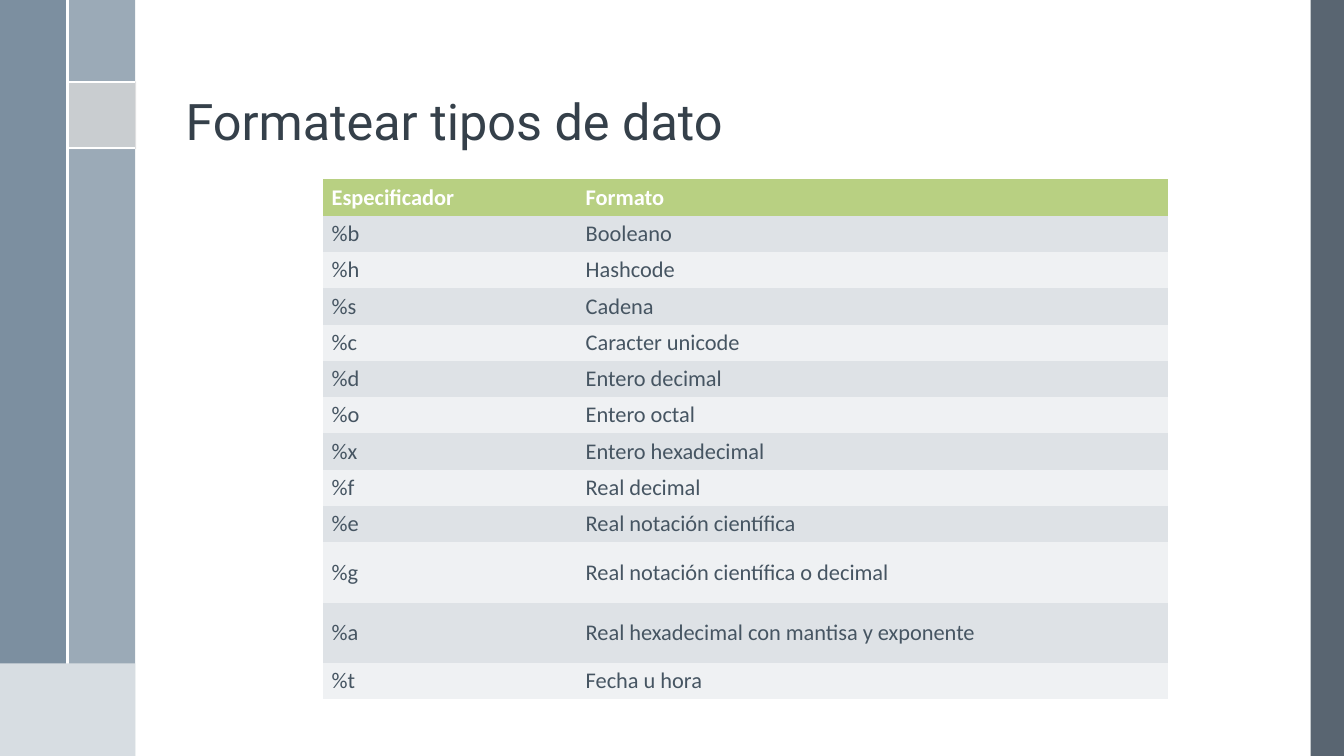
from lxml import etree
from pptx import Presentation
from pptx.dml.color import RGBColor as RGB
from pptx.enum.shapes import MSO_CONNECTOR as Conn, MSO_SHAPE as Shape
from pptx.enum.text import MSO_ANCHOR as Anchor, MSO_AUTO_SIZE as Auto, PP_ALIGN as Align
from pptx.oxml.ns import qn
from pptx.util import Inches, Pt

# Content
TITLE = "Formatear tipos de dato"
ROWS = [
    ("Especificador", "Formato"),
    ("%b", "Booleano"),
    ("%h", "Hashcode"),
    ("%s", "Cadena"),
    ("%c", "Caracter unicode"),
    ("%d", "Entero decimal"),
    ("%o", "Entero octal"),
    ("%x", "Entero hexadecimal"),
    ("%f", "Real decimal"),
    ("%e", "Real notación científica"),
    ("%g", "Real notación científica o decimal"),
    ("%a", "Real hexadecimal con mantisa y exponente"),
    ("%t", "Fecha u hora"),
]
TALL = ("%g", "%a")
COLS = (2.52, 5.86)
HEX = {
    "right": "475562", "inner": "9BAAB7", "outer": "6A8093", "square": "D9D9D9",
    "foot": "D7DDE2", "white": "FFFFFF", "title": "35404A", "text": "465562",
    "head": "B8D082", "odd": "DEE2E6", "even": "EFF1F3",
}
# Left, top, width, height, colour, opacity in percent
BARS = [
    (13, 0, 0.33, 7.5, "right", 90),
    (0.67, 0, 0.67, 7.5, "inner", 100),
    (0, 0, 0.67, 7.5, "outer", 88),
    (0.68, 0.81, 0.67, 0.67, "square", 75),
]
FOOT = (-0.01, 6.58, 1.35, 0.92, "foot", 100)
RULES = [(0.67, 0.81, 1.34, 0.81), (0.67, 1.47, 1.34, 1.47), (0.67, 0, 0.67, 7.5)]
NO_GRID = "{2D5ABB26-0587-4C30-8999-92F81FD0307C}"


def color(name):
    return RGB.from_string(HEX[name])


def add_bar(x, y, w, h, tone, alpha):
    bar = slide.shapes.add_shape(Shape.RECTANGLE, *map(Inches, (x, y, w, h)))
    bar.shadow.inherit = False
    bar.line.fill.background()
    bar.fill.solid()
    bar.fill.fore_color.rgb = color(tone)
    if alpha < 100:
        clr = bar.fill._xPr.find(".//" + qn("a:srgbClr"))
        etree.SubElement(clr, qn("a:alpha"), val=str(alpha * 1000))


def add_rule(ends):
    rule = slide.shapes.add_connector(Conn.STRAIGHT, *map(Inches, ends))
    rule.line.color.rgb = color("white")
    rule.line.width = Pt(1.5)
    etree.SubElement(rule._element.spPr, qn("a:effectLst"))


def set_font(par, name, size, tone, bold=False):
    font = par.font
    font.name, font.size, font.bold = name, Pt(size), bold
    font.color.rgb = color(tone)


deck = Presentation()
deck.slide_width, deck.slide_height = Inches(13.33), Inches(7.5)
slide = deck.slides.add_slide(deck.slide_layouts[5])

# Side bars and white rules
for bar in BARS:
    add_bar(*bar)
for ends in RULES:
    add_rule(ends)
add_bar(*FOOT)

# Title
title = slide.shapes.title
title.left, title.top, title.width, title.height = map(Inches, (1.74, 0.19, 10.7, 1.36))
frame = title.text_frame
frame.text = TITLE
frame.word_wrap = True
frame.auto_size = Auto.NONE
frame.vertical_anchor = Anchor.BOTTOM
par = frame.paragraphs[0]
par.alignment = Align.LEFT
par.line_spacing = 0.9
set_font(par, "Roboto", 36, "title")

# Table of format specifiers
heights = [0.6 if row[0] in TALL else 0.36 for row in ROWS]
box = (3.2, 1.78, sum(COLS), sum(heights))
table = slide.shapes.add_table(len(ROWS), len(COLS), *map(Inches, box)).table
table._tbl.tblPr.find(qn("a:tableStyleId")).text = NO_GRID
for col, width in zip(table.columns, COLS):
    col.width = Inches(width)
for r, (row, height) in enumerate(zip(ROWS, heights)):
    table.rows[r].height = Inches(height)
    band = "head" if r == 0 else "odd" if r % 2 else "even"
    for c, text in enumerate(row):
        cell = table.cell(r, c)
        cell.text = text
        cell.vertical_anchor = Anchor.MIDDLE
        cell.margin_left = cell.margin_right = Inches(0.09)
        cell.margin_top = cell.margin_bottom = Inches(0.04)
        cell.fill.solid()
        cell.fill.fore_color.rgb = color(band)
        set_font(cell.text_frame.paragraphs[0], "Calibri", 16,
                 "text" if r else "white", r == 0)

deck.save("out.pptx")
